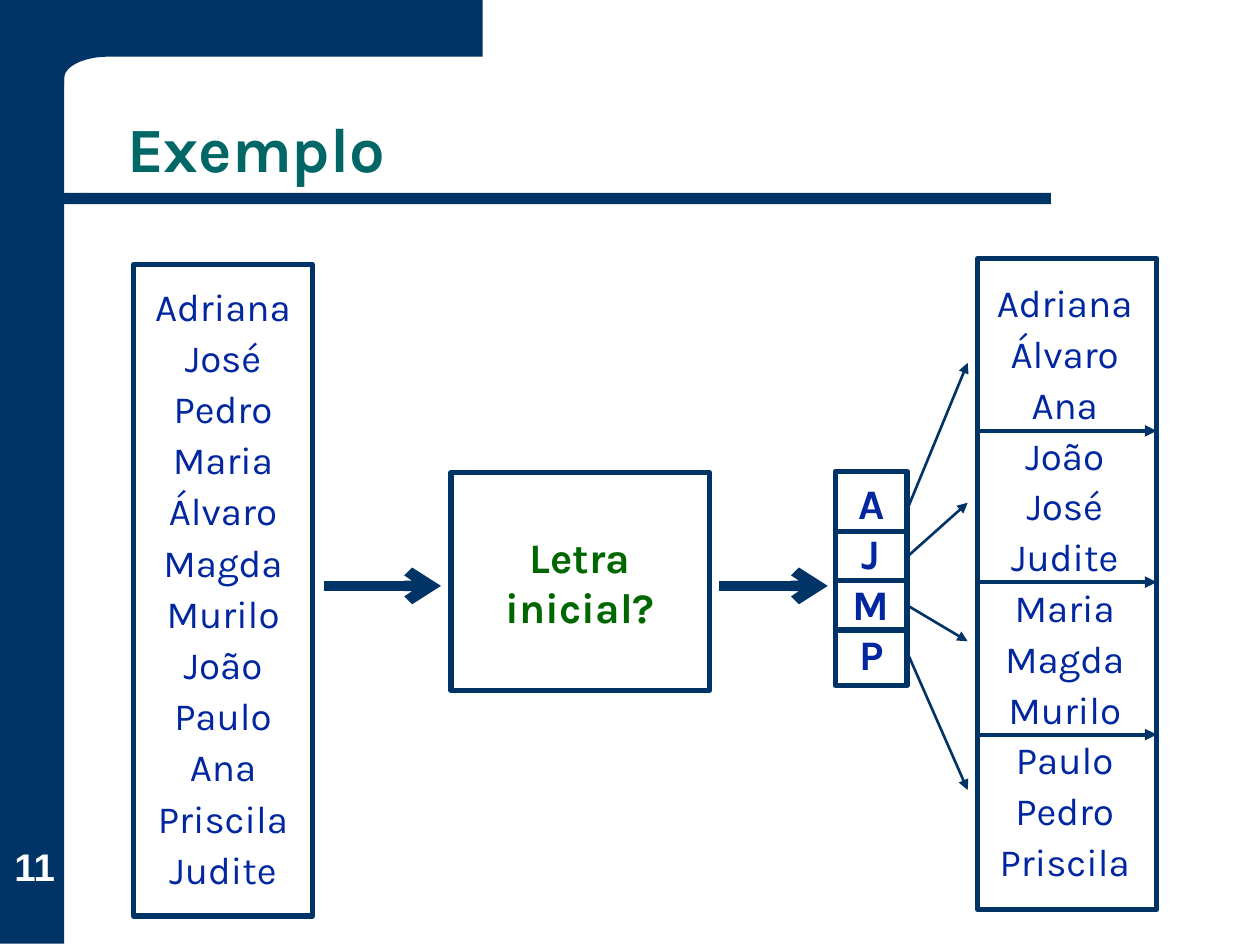
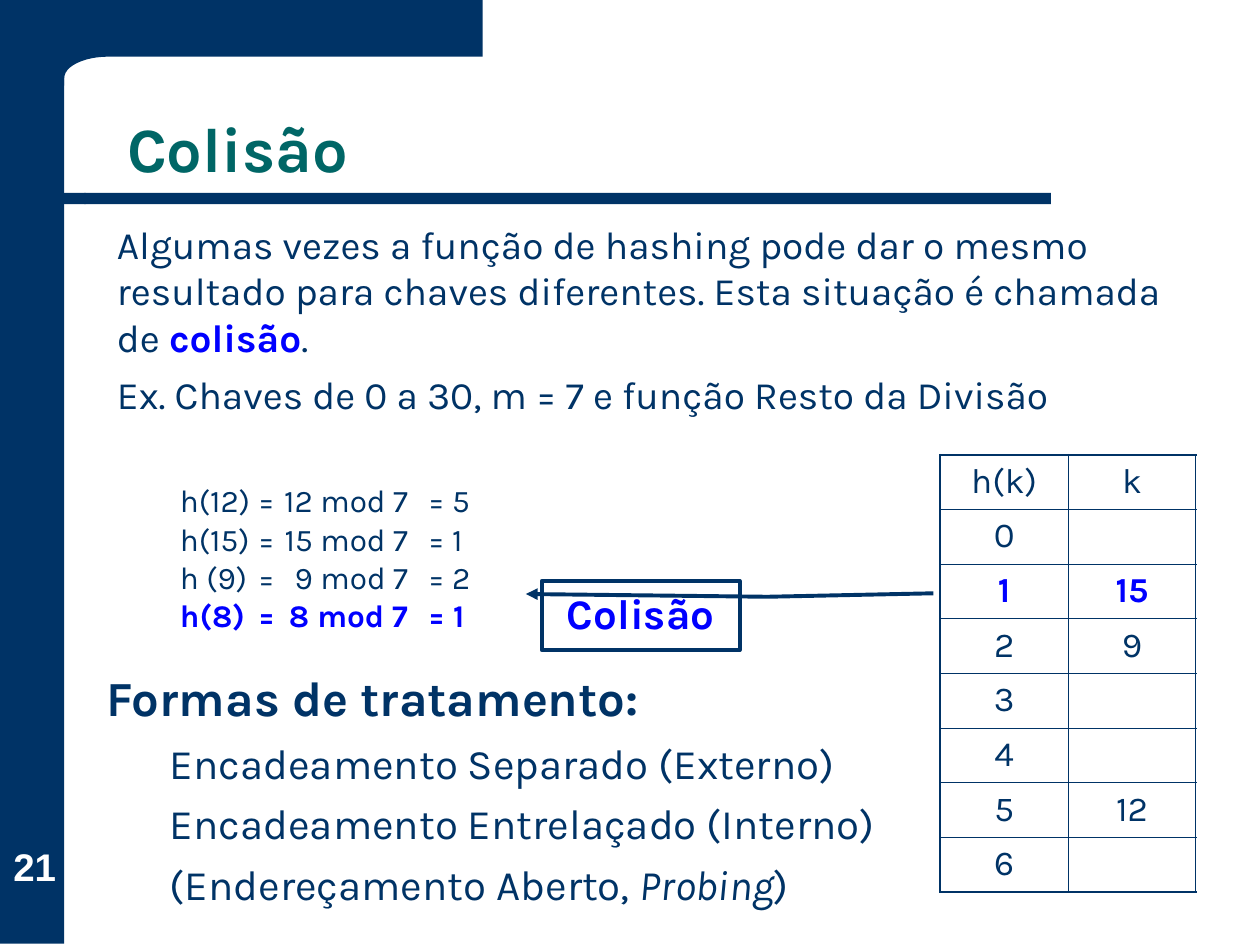
from math import cos, pi, sin
from lxml.etree import SubElement
from pptx import Presentation
from pptx.dml.color import RGBColor
from pptx.enum.shapes import MSO_CONNECTOR, MSO_SHAPE
from pptx.enum.text import MSO_ANCHOR, PP_ALIGN
from pptx.oxml.ns import qn
from pptx.util import Inches, Pt

NAVY = RGBColor(0x00, 0x33, 0x66)
TEAL = RGBColor(0x00, 0x66, 0x66)
GREEN = RGBColor(0x00, 0x66, 0x00)
NAME_BLUE = RGBColor(0x00, 0x27, 0x9F)
BLUE = RGBColor(0x00, 0x00, 0xFF)
WHITE = RGBColor(0xFF, 0xFF, 0xFF)
CENTER = PP_ALIGN.CENTER


def write(frame, text, size, color=NAVY, bold=False, italic=False, font="Karla",
          align=PP_ALIGN.LEFT, anchor=MSO_ANCHOR.TOP, spacing=1.0, before=0,
          indent=0, continues=False):
    """Add each line of text as a paragraph, or continue the last paragraph."""
    frame.word_wrap = True
    frame.vertical_anchor = anchor
    for line in text.split("\n"):
        paragraph = frame.paragraphs[-1]
        if paragraph.runs and not continues:
            paragraph = frame.add_paragraph()
        if not continues:
            paragraph.alignment = align
            paragraph.line_spacing = spacing
            paragraph.space_before = Pt(before)
            paragraph._p.get_or_add_pPr().set("marL", str(Inches(indent)))
        run = paragraph.add_run()
        run.text = line
        run.font.name = font
        run.font.size = Pt(size)
        run.font.bold = bold
        run.font.italic = italic
        run.font.color.rgb = color


def paint(shape, fill=None, width=0):
    """Give a shape a flat fill and a navy outline, or neither."""
    shape.shadow.inherit = False
    if fill is None:
        shape.fill.background()
    else:
        shape.fill.solid()
        shape.fill.fore_color.rgb = fill
    if width:
        shape.line.color.rgb = NAVY
        shape.line.width = Pt(width)
    else:
        shape.line.fill.background()
    return shape


prs = Presentation()
prs.slide_width, prs.slide_height = Inches(10), Inches(7.5)

# Frame, title and number of both slides
corner = [(0.86 - 0.35 * sin(i * pi / 24), 0.62 - 0.17 * cos(i * pi / 24)) for i in range(13)]
band_outline = [(3.83, 0), (3.83, 0.45), *corner, (0.51, 0.68), (0.09, 0.68), (0.09, 0)]
slides = []
for title, number in (("Exemplo", "11"), ("Colisão", "21")):
    slide = prs.slides.add_slide(prs.slide_layouts[6])
    slides.append(slide)
    points = [(Inches(x), Inches(y)) for x, y in band_outline]
    builder = slide.shapes.build_freeform(*points[0])
    builder.add_line_segments(points[1:], close=True)
    paint(builder.convert_to_shape(), NAVY)
    for kind, left, top, width, height in (
        (MSO_SHAPE.RECTANGLE, 0, -0.01, 0.51, 7.5),
        (MSO_SHAPE.RECTANGLE, 0.67, 1.53, 7.67, 0.09),
        (MSO_SHAPE.FLOWCHART_DELAY, 0.25, 1.53, 0.43, 0.09),
    ):
        bar = paint(slide.shapes.add_shape(kind, Inches(left), Inches(top), Inches(width),
                                           Inches(height)), NAVY)
    bar.rotation = 180

    heading = slide.shapes.add_textbox(Inches(0.91), Inches(0.44), Inches(8.51), Inches(1.09))
    write(heading.text_frame, title, 36, TEAL, bold=True, anchor=MSO_ANCHOR.BOTTOM, spacing=0.9)
    page = slide.shapes.add_textbox(Inches(0.03), Inches(6.52), Inches(0.49), Inches(0.54))
    page.text_frame.margin_left = page.text_frame.margin_right = 0
    page.text_frame.margin_top = page.text_frame.margin_bottom = 0
    write(page.text_frame, number, 22, WHITE, bold=True, font="Arial", align=CENTER,
          anchor=MSO_ANCHOR.BOTTOM)

example, collision = slides

# Exemplo: names grouped by initial letter
unsorted_names = ("Adriana José Pedro Maria Álvaro Magda Murilo João Paulo Ana "
                  "Priscila Judite").replace(" ", "\n")
grouped_names = ("Adriana Álvaro Ana João José Judite Maria Magda Murilo Paulo "
                 "Pedro Priscila").replace(" ", "\n")
middle = {"align": CENTER, "anchor": MSO_ANCHOR.MIDDLE}
for left, top, width, height, fill, text, style in (
    (1.06, 2.1, 1.42, 5.17, None, unsorted_names,
     dict(middle, size=22, color=NAME_BLUE, spacing=0.9, before=5.5)),
    (3.58, 3.75, 2.05, 1.73, None, "Letra inicial?",
     dict(middle, size=24, color=GREEN, bold=True)),
    (7.76, 2.05, 1.42, 5.17, None, "", None),
    (6.63, 3.74, 0.57, 1.7, WHITE, "A\nJ\nM\nP",
     dict(size=24, color=NAME_BLUE, bold=True, align=CENTER)),
):
    box = paint(example.shapes.add_shape(MSO_SHAPE.RECTANGLE, Inches(left), Inches(top),
                                         Inches(width), Inches(height)), fill, 3)
    if text:
        write(box.text_frame, text, **style)
groups = example.shapes.add_textbox(Inches(7.79), Inches(2.13), Inches(1.32), Inches(4.94))
write(groups.text_frame, grouped_names, 22, NAME_BLUE, align=CENTER, spacing=1.1)

flow_arrows = [(x1, 4.65, x2, 4.65, 6, "arrow") for x1, x2 in ((2.57, 3.5), (5.71, 6.57))]
letter_arrows = [(7.21, y1, 7.68, y2, 1.5, "triangle") for y1, y2 in
                 ((4.02, 2.88), (4.41, 3.99), (4.81, 5.09), (5.2, 6.27))]
group_dividers = [(7.76, y, 9.18, y, 2.25, "triangle") for y in (3.42, 4.62, 5.83)]
letter_dividers = [(6.65, y, 7.2, y, 3, None) for y in (4.22, 4.61, 5)]
for x1, y1, x2, y2, width, head in flow_arrows + letter_arrows + group_dividers + letter_dividers:
    connector = example.shapes.add_connector(MSO_CONNECTOR.STRAIGHT, Inches(x1), Inches(y1),
                                             Inches(x2), Inches(y2))
    connector.line.color.rgb = NAVY
    connector.line.width = Pt(width)
    if head:
        SubElement(connector.line._get_or_add_ln(), qn("a:tailEnd"), type=head)
    SubElement(connector._element.spPr, qn("a:effectLst"))

# Colisão: definition and example keys
definition = collision.shapes.add_textbox(Inches(0.83), Inches(1.7), Inches(8.9), Inches(1.73))
write(definition.text_frame, "Algumas vezes a função de hashing pode dar o mesmo resultado para "
      "chaves diferentes. Esta situação é chamada de ", 22.2, before=6)
write(definition.text_frame, "colisão", 22.2, BLUE, bold=True, continues=True)
write(definition.text_frame, ".", 22.2, continues=True)
write(definition.text_frame, "Ex. Chaves de 0 a 30, m = 7 e função Resto da Divisão", 22.2,
      before=6)

hashes = collision.shapes.add_textbox(Inches(1.33), Inches(3.83), Inches(3.55), Inches(1.42))
for key in (12, 15, 9, 8):
    name = "h (9)" if key == 9 else f"h({key})"
    collides = key == 8
    write(hashes.text_frame, f"{name}\t=\t{key} mod 7\t= {key % 7}", 18,
          BLUE if collides else NAVY, bold=collides, spacing=0.8, before=4.5)
for paragraph in hashes.text_frame.paragraphs:
    stops = SubElement(paragraph._p.pPr, qn("a:tabLst"))
    for position, side in ((0.62, "l"), (1.81, "r"), (1.97, "l")):
        SubElement(stops, qn("a:tab"), pos=str(Inches(position)), algn=side)

# Hash table
hash_rows = [("h(k)", "k"), ("0", ""), ("1", "15"), ("2", "9"), ("3", ""), ("4", ""),
             ("5", "12"), ("6", "")]
table = collision.shapes.add_table(len(hash_rows), 2, Inches(7.46), Inches(3.61), Inches(2.03),
                                   Inches(3.47)).table
table.first_row = table.horz_banding = False
table.columns[0].width, table.columns[1].width = Inches(1.02), Inches(1.01)
for r, values in enumerate(hash_rows):
    for c, value in enumerate(values):
        cell = table.cell(r, c)
        if value:
            collides = values[0] == "1"
            write(cell.text_frame, value, 20, BLUE if collides else NAVY, bold=collides,
                  align=CENTER)
        outer_edges = (("lnL", c == 0), ("lnR", c == 1), ("lnT", r == 0),
                       ("lnB", r == len(hash_rows) - 1))
        for edge, is_outer in outer_edges:
            border = SubElement(cell._tc.get_or_add_tcPr(), qn(f"a:{edge}"),
                                w=str(Pt(1.08 if is_outer else 0.45)))
            SubElement(SubElement(border, qn("a:solidFill")), qn("a:srgbClr"), val=str(NAVY))
        cell.fill.background()

# Callout from the repeated slot to the colliding key
callout = paint(collision.shapes.add_shape(MSO_SHAPE.LINE_CALLOUT_2, Inches(4.3), Inches(4.61),
                                           Inches(1.57), Inches(0.55)), width=2.25)
for i, value in enumerate((0.19, -0.08, 0.23, 1.14, 0.18, 1.98)):
    callout.adjustments[i] = value
SubElement(callout.line._get_or_add_ln(), qn("a:headEnd"), type="triangle")
write(callout.text_frame, "Colisão", 24, BLUE, bold=True, align=CENTER)

treatments = collision.shapes.add_textbox(Inches(0.75), Inches(5.25), Inches(6.46), Inches(2.04))
write(treatments.text_frame, "Formas de tratamento:", 28, bold=True, before=7)
write(treatments.text_frame, "Encadeamento Separado (Externo)\n"
      "Encadeamento Entrelaçado (Interno)\n(Endereçamento Aberto, ", 24, before=6, indent=0.5)
write(treatments.text_frame, "Probing", 24, italic=True, continues=True)
write(treatments.text_frame, ")", 24, continues=True)

prs.save("out.pptx")
